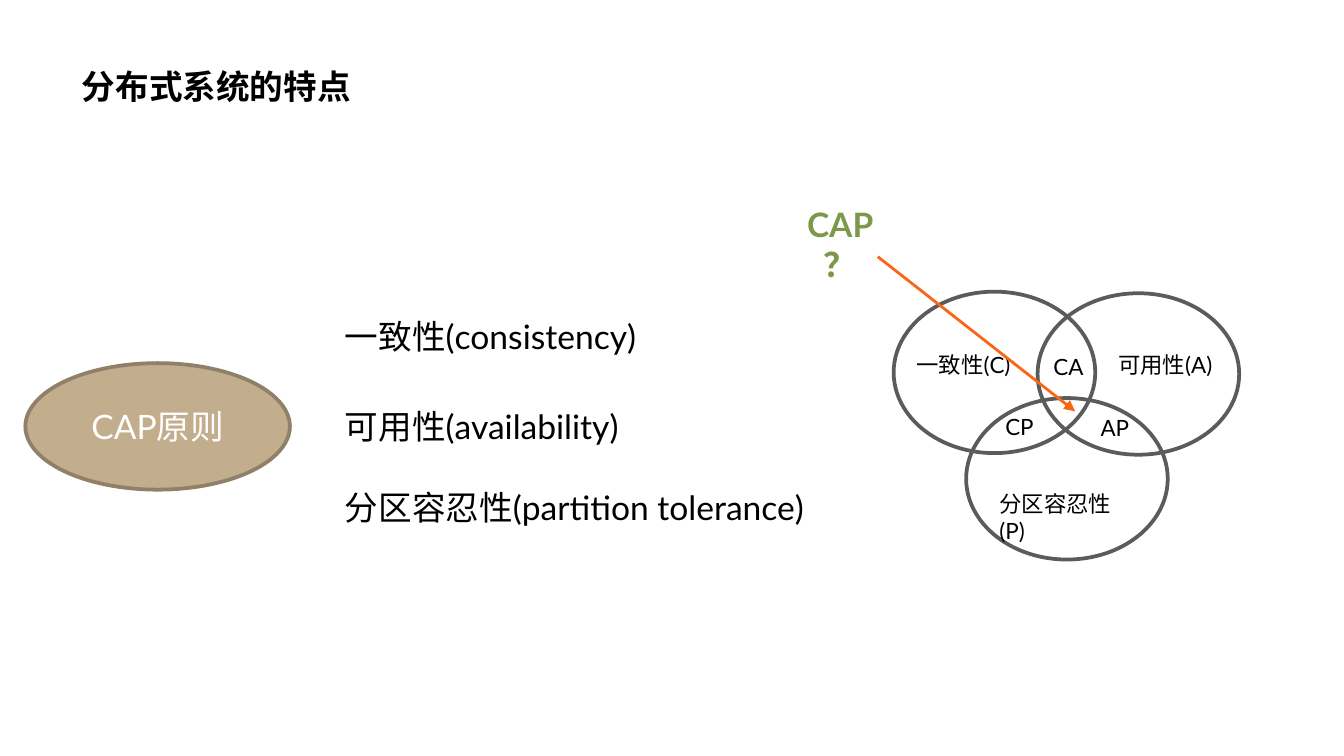
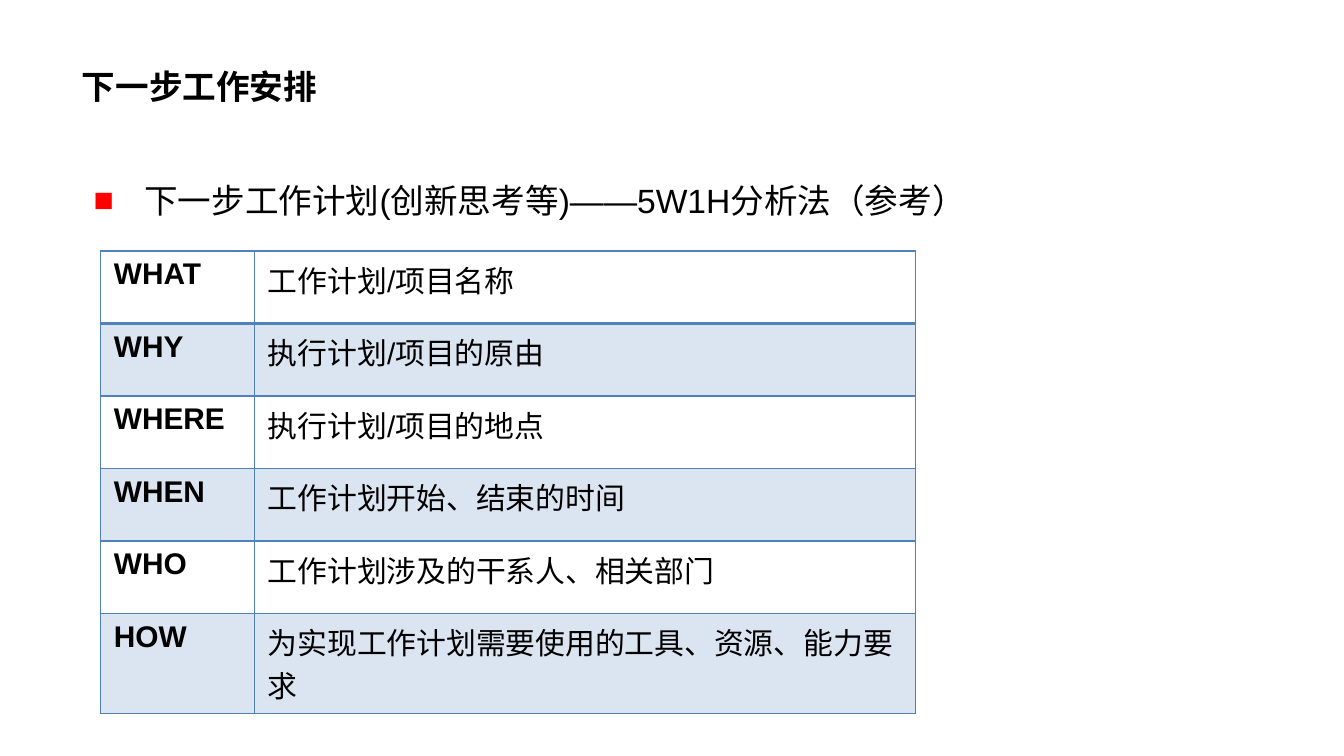
"""Build two slides: the CAP principle and a 5W1H work plan."""
from lxml import etree
from pptx import Presentation
from pptx.dml.color import RGBColor
from pptx.enum import shapes, text
from pptx.oxml import ns
from pptx.util import Cm, Pt

BLACK, WHITE, GREY, BLUE = "000000", "FFFFFF", "5A5B5D", "4F81BD"
TAN, BROWN, GREEN, ORANGE, RED = "C2AD8D", "908068", "7C984A", "F96615", "FF0000"
MID, TOP = text.MSO_ANCHOR.MIDDLE, text.MSO_ANCHOR.TOP
LEFT, CENTER = text.PP_ALIGN.LEFT, text.PP_ALIGN.CENTER


def rgb(code):
    return RGBColor.from_string(code)


def write(frame, words, size=18, color=BLACK, bold=False, face="Lato", align=LEFT, anchor=TOP):
    frame.word_wrap = True
    frame.vertical_anchor = anchor
    par = frame.paragraphs[0]
    par.text = words
    par.alignment = align
    font = par.font
    font.name, font.size, font.bold = face, Pt(size), bold
    font.color.rgb = rgb(color)
    return par


deck = Presentation()
deck.slide_width, deck.slide_height = Cm(25.4), Cm(14.28)
pages = []
for title in ("分布式系统的特点", "下一步工作安排"):
    page = deck.slides.add_slide(deck.slide_layouts[6])
    box = page.shapes.add_textbox(Cm(1.3), Cm(0.53), Cm(22.81), Cm(2.21))
    write(box.text_frame, title, bold=True, anchor=MID)
    pages.append(page.shapes)
cap, plan = pages

ovals = [
    (0.48, 6.86, 5, 2.39, TAN, BROWN, "CAP原则"),
    (16.89, 5.51, 3.81, 3.05, None, GREY, ""),
    (19.61, 5.54, 3.81, 3.05, None, GREY, ""),
    (18.26, 7.52, 3.81, 3.05, None, GREY, ""),
]
for x, y, w, h, fill, edge, words in ovals:
    oval = cap.add_shape(shapes.MSO_SHAPE.OVAL, Cm(x), Cm(y), Cm(w), Cm(h))
    oval.shadow.inherit = False
    oval.line.color.rgb = rgb(edge)
    oval.line.width = Pt(2)
    if fill:
        oval.fill.solid()
        oval.fill.fore_color.rgb = rgb(fill)
        write(oval.text_frame, words, color=WHITE, align=CENTER, anchor=MID)
    else:
        oval.fill.background()

traits = [
    (5.84, 6.81, "一致性(consistency)"),
    (7.54, 6.81, "可用性(availability)"),
    (9.07, 9.6, "分区容忍性(partition tolerance)"),
]
for y, w, words in traits:
    box = cap.add_textbox(Cm(6.27), Cm(y), Cm(w), Cm(1.02))
    write(box.text_frame, words)

labels = [
    (17.07, 6.5, "一致性(C)"),
    (20.88, 6.5, "可用性(A)"),
    (18.64, 9.14, "分区容忍性(P)"),
    (19.66, 6.55, "CA"),
    (18.75, 7.67, "CP"),
    (20.55, 7.7, "AP"),
]
for x, y, words in labels:
    box = cap.add_textbox(Cm(x), Cm(y), Cm(3), Cm(0.76))
    write(box.text_frame, words, size=12)

arrow = cap.add_connector(
    shapes.MSO_CONNECTOR.STRAIGHT, Cm(16.59), Cm(4.85), Cm(20.32), Cm(7.77))
arrow.line.color.rgb = rgb(ORANGE)
arrow.line.width = Pt(1.5)
etree.SubElement(arrow.line._get_or_add_ln(), ns.qn("a:tailEnd"), type="triangle")
etree.SubElement(arrow._element.spPr, ns.qn("a:effectLst"))
box = cap.add_textbox(Cm(14.76), Cm(3.73), Cm(2.24), Cm(1.02))
write(box.text_frame, "CAP？", color=GREEN, bold=True, align=CENTER)

box = plan.add_textbox(Cm(1.52), Cm(3.12), Cm(22.38), Cm(14))
lead = write(box.text_frame, "下一步工作计划(创新思考等)——5W1H分析法（参考）", face="Arial")
lead.line_spacing = 1.2
lead.space_before = Pt(3.6)
props = lead._p.get_or_add_pPr()
props.set("marL", str(Cm(0.96)))
props.set("indent", str(-Cm(0.96)))
last = props.find(ns.qn("a:defRPr"))
tint = etree.Element(ns.qn("a:buClr"))
etree.SubElement(tint, ns.qn("a:srgbClr"), val=RED)
last.addprevious(tint)
last.addprevious(etree.Element(ns.qn("a:buFont"), typeface="Arial"))
last.addprevious(etree.Element(ns.qn("a:buChar"), char="■"))

rows = [
    ("WHAT", "工作计划/项目名称"),
    ("WHY", "执行计划/项目的原由"),
    ("WHERE", "执行计划/项目的地点"),
    ("WHEN", "工作计划开始、结束的时间"),
    ("WHO", "工作计划涉及的干系人、相关部门"),
    ("HOW", "为实现工作计划需要使用的工具、资源、能力要求"),
]
highs = [1.37] * 5 + [1.89]
grid = plan.add_table(
    len(rows), 2, Cm(1.9), Cm(4.74), Cm(15.4), Cm(sum(highs))).table
grid.first_row = grid.horz_banding = False
for col, w in zip(grid.columns, (2.91, 12.49)):
    col.width = Cm(w)
for r, row in enumerate(rows):
    grid.rows[r].height = Cm(highs[r])
    for c, words in enumerate(row):
        cell = grid.cell(r, c)
        write(cell.text_frame, words, size=16, bold=c == 0, face="Arial")
        if r % 2:
            cell.fill.solid()
            cell.fill.fore_color.rgb = rgb(BLUE)
        else:
            cell.fill.background()
        props = cell._tc.get_or_add_tcPr()
        for tone in props.iter(ns.qn("a:srgbClr")):
            etree.SubElement(tone, ns.qn("a:alpha"), val="20000")
        for i, side in enumerate("LRTB"):
            thick = (r, side) in ((0, "B"), (1, "T"))
            edge = etree.Element(ns.qn("a:ln" + side), w=str(Pt(2 if thick else 1)))
            paint = etree.SubElement(edge, ns.qn("a:solidFill"))
            etree.SubElement(paint, ns.qn("a:srgbClr"), val=BLUE)
            props.insert(i, edge)

deck.save("out.pptx")
